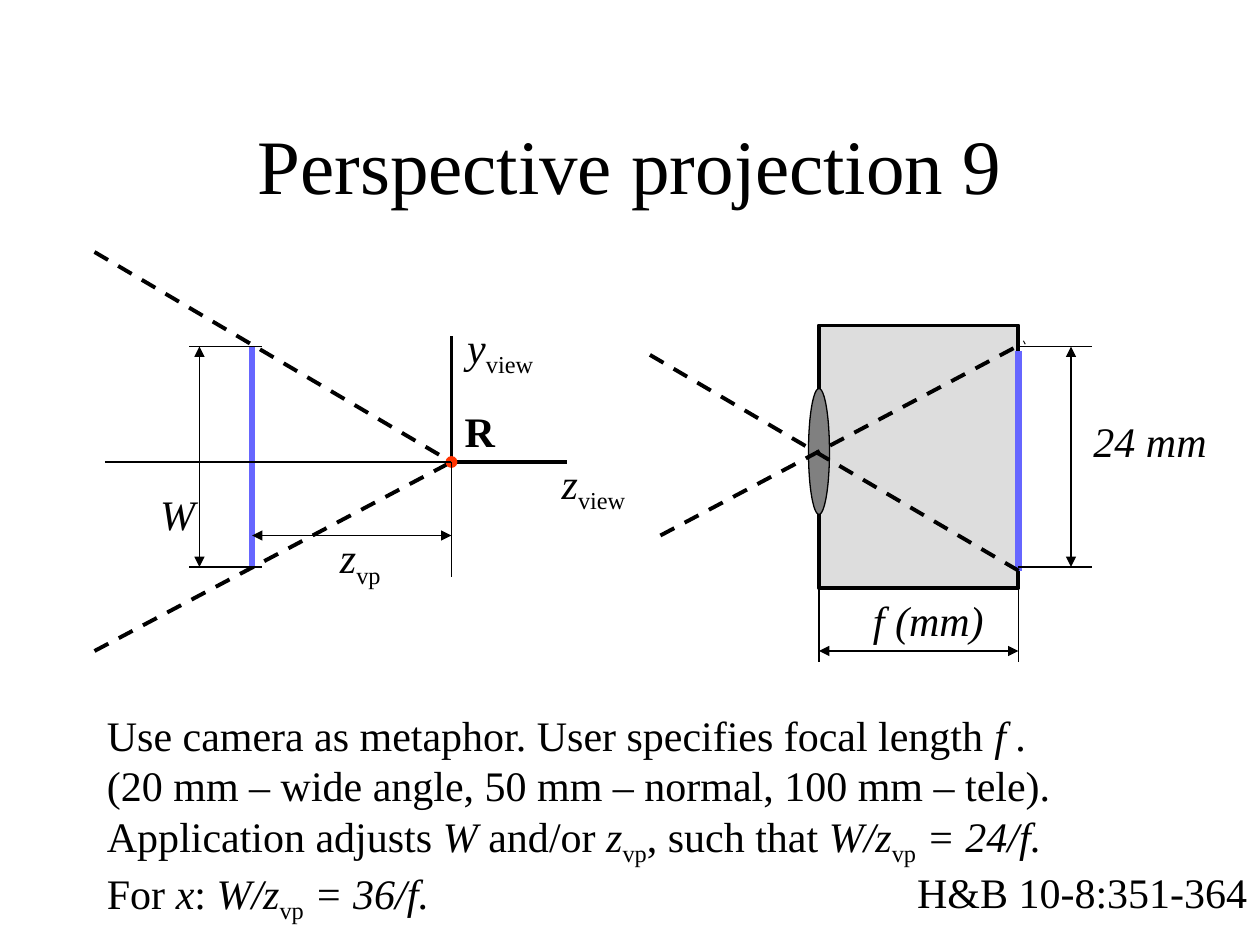
from lxml import etree
from pptx import Presentation
from pptx.dml.color import RGBColor
from pptx.enum.dml import MSO_LINE_DASH_STYLE as DASH
from pptx.enum.shapes import MSO_CONNECTOR, MSO_SHAPE
from pptx.enum.text import MSO_ANCHOR, MSO_AUTO_SIZE, PP_ALIGN
from pptx.oxml.ns import qn
from pptx.util import Inches, Pt

FONT = "Times New Roman"
BLACK, BLUE, RED = "000000", "6666FF", "FF3300"
LIGHT, GREY = "DDDDDD", "808080"
THIN, THICK = 0.75, 2.25
TOP, BOTTOM = 33, 54
PLANE, EYE, AXIS = 24, 43, 44
LENS, FILM = 78, 97
ITALIC, BOLD = {"italic": True}, {"bold": True}
SUB = {"sub": True}


def grid(n):
    """Return the length of n cells of the twelfth-of-an-inch grid."""
    return Inches(n / 12)


def color(hex_code):
    """Turn a hex string into a colour."""
    return RGBColor.from_string(hex_code)


def add_line(shapes, start, end, width=THIN, ink=BLACK, dashed=False, arrows=False):
    """Draw a straight line between two grid points."""
    x1, y1, x2, y2 = map(grid, (*start, *end))
    c = shapes.add_connector(MSO_CONNECTOR.STRAIGHT, x1, y1, x2, y2)
    c.line.width = Pt(width)
    c.line.color.rgb = color(ink)
    if dashed:
        c.line.dash_style = DASH.DASH
    if arrows:
        for tag in ("a:headEnd", "a:tailEnd"):
            etree.SubElement(c.line._ln, qn(tag), type="triangle")
    etree.SubElement(c._element.spPr, qn("a:effectLst"))


def add_solid(shapes, kind, box, fill, width=THIN, ink=BLACK):
    """Draw a filled preset shape in a grid box."""
    sp = shapes.add_shape(kind, *map(grid, box))
    sp.shadow.inherit = False
    sp.fill.solid()
    sp.fill.fore_color.rgb = color(fill)
    sp.line.color.rgb = color(ink)
    sp.line.width = Pt(width)


def add_run(p, text, style, size):
    """Append a run with its format values."""
    r = p.add_run()
    r.text = text
    values = {"name": FONT, "size": Pt(size), **style}
    if values.pop("sub", False):
        r.font._element.set("baseline", "-25000")
    for name, value in values.items():
        setattr(r.font, name, value)
    r.font.color.rgb = color(BLACK)


def add_text(shapes, box, lines, size=24, align=PP_ALIGN.LEFT, **frame):
    """Add a text box in inches, one paragraph for each list of runs."""
    tf = shapes.add_textbox(*map(Inches, box)).text_frame
    for name, value in {"word_wrap": False, **frame}.items():
        setattr(tf, name, value)
    for i, runs in enumerate(lines):
        p = tf.add_paragraph() if i else tf.paragraphs[0]
        p.alignment = align
        for text, style in runs:
            add_run(p, text, style, size)


def add_label(shapes, box, *runs, align=PP_ALIGN.LEFT):
    """Add a one-line label that fits its text."""
    add_text(shapes, box, [runs], align=align, auto_size=MSO_AUTO_SIZE.SHAPE_TO_FIT_TEXT)


def add_symbol(shapes, left, top, width, letter, index):
    """Add an italic letter with a subscript in a box of fixed width."""
    runs = [(letter, ITALIC), (index, SUB)]
    add_text(shapes, (left, top, width, 0.56), [runs], word_wrap=True)


def add_view_diagram(shapes):
    """Draw the view volume with its window and axes."""
    eye = (EYE, AXIS)
    for y in (24, 62):
        add_line(shapes, (9, y), eye, THICK, dashed=True)
    add_line(shapes, (PLANE, TOP), (PLANE, BOTTOM), 3, BLUE)
    for end in ((54, AXIS), (EYE, 32)):
        add_line(shapes, eye, end, THICK)
    add_solid(shapes, MSO_SHAPE.OVAL, (EYE - 0.5, AXIS - 0.5, 1, 1), RED, ink=RED)
    add_line(shapes, (10, AXIS), eye, 1)
    add_line(shapes, eye, (EYE, 55))
    add_line(shapes, (19, TOP), (19, BOTTOM), arrows=True)
    add_line(shapes, (EYE, 51), (PLANE, 51), arrows=True)
    for y in (TOP, BOTTOM):
        add_line(shapes, (18, y), (25, y))
    add_symbol(shapes, 4.36, 3.58, 0.85, "z", "view")
    add_symbol(shapes, 3.61, 2.5, 0.85, "y", "view")
    add_symbol(shapes, 2.6, 4.17, 0.6, "z", "vp")
    add_label(shapes, (3.59, 3.17, 0.44, 0.5), ("R", BOLD))
    add_label(shapes, (1.17, 3.83, 0.48, 0.5), ("W", ITALIC), align=PP_ALIGN.CENTER)


def add_camera_diagram(shapes):
    """Draw the camera with its lens, film and rays."""
    add_solid(shapes, MSO_SHAPE.RECTANGLE, (LENS, 31, FILM - LENS, 25), LIGHT, THICK)
    add_line(shapes, (FILM, TOP + 0.4), (FILM, BOTTOM + 0.4), 4.5, BLUE)
    add_line(shapes, (LENS, 63), (LENS, 31))
    add_line(shapes, (FILM, 63), (FILM, 56))
    add_line(shapes, (102, TOP), (102, BOTTOM), arrows=True)
    add_line(shapes, (FILM, 62), (LENS, 62), arrows=True)
    for y in (TOP, BOTTOM):
        add_line(shapes, (FILM, y), (104, y))
    add_solid(shapes, MSO_SHAPE.OVAL, (LENS - 1, 37, 2, 12), GREY)
    add_line(shapes, (61.9, 33.8), (97.6, 54.7), THICK, dashed=True)
    add_line(shapes, (62.9, 51), (97.6, 32.6), THICK, dashed=True)
    add_label(shapes, (6.83, 4.67, 1.16, 0.5), ("f (mm)", ITALIC))
    add_label(shapes, (8.58, 3.25, 1.1, 0.5), ("24 mm", ITALIC))


def main():
    """Build the slide and save it."""
    prs = Presentation()
    prs.slide_width, prs.slide_height = Inches(10), Inches(7.5)
    s = prs.slides.add_slide(prs.slide_layouts[6])
    add_text(s.shapes, (0.75, 0.67, 8.5, 1.25), [[("Perspective projection 9", {})]], 44,
             PP_ALIGN.CENTER, word_wrap=True, vertical_anchor=MSO_ANCHOR.MIDDLE)
    add_view_diagram(s.shapes)
    ratio = [("W/z", ITALIC), ("vp", SUB)]
    add_text(s.shapes, (0.75, 5.58, 8.92, 0.75), [
        [("Use camera as metaphor. User specifies focal length ", {}), ("f .", ITALIC)],
        [("(20 mm – wide angle, 50 mm – normal, 100 mm – tele).", {})],
        [("Application adjusts ", {}), ("W ", ITALIC), ("and/or ", {}), ("z", ITALIC),
         ("vp", SUB), (", such that ", {}), *ratio, (" = 24/f.", ITALIC)],
        [("For ", {}), ("x", ITALIC), (": ", {}), *ratio, (" = 36/f.", ITALIC)],
    ])
    add_camera_diagram(s.shapes.add_group_shape().shapes)
    add_label(s.shapes, (7.18, 6.83, 2.82, 0.5), ("H&B 10-8:351-364", {}))
    prs.save("out.pptx")


if __name__ == "__main__":
    main()
